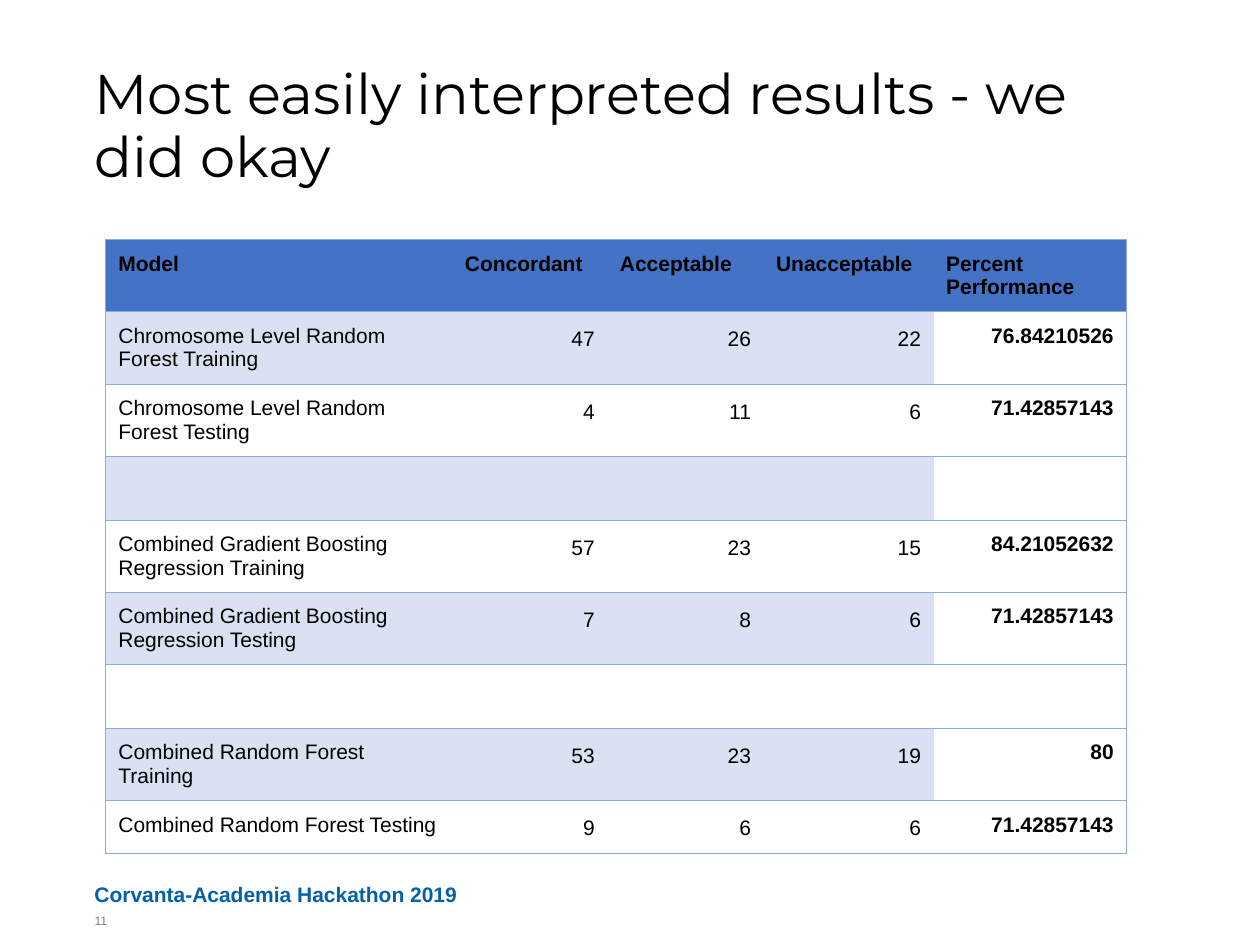
from pptx import Presentation
from pptx.dml.color import RGBColor
from pptx.enum.text import MSO_ANCHOR as Anchor, MSO_AUTO_SIZE as AutoSize, PP_ALIGN as Align
from pptx.oxml import parse_xml
from pptx.oxml.ns import nsdecls, qn
from pptx.util import Inches, Pt

BLACK = RGBColor(0x00, 0x00, 0x00)
WHITE = RGBColor(0xFF, 0xFF, 0xFF)
GRAY = RGBColor(0x7F, 0x7F, 0x7F)
FOOTER_BLUE = RGBColor(0x04, 0x60, 0xA9)
HEADER_BLUE = RGBColor(0x44, 0x72, 0xC4)
BAND_BLUE = RGBColor(0xD9, 0xE1, 0xF2)
BORDER_BLUE = RGBColor(0x8E, 0xA9, 0xDB)

NO_STYLE = "{2D5ABB26-0587-4C30-8999-92F81FD0307C}"
COLUMN_WIDTHS = [2.75, 1.23, 1.24, 1.35, 1.53]
TEXT_ROW, BLANK_ROW, LAST_ROW = 0.57, 0.48, 0.42

HEADER = ["Model", "Concordant", "Acceptable", "Unacceptable", "Percent Performance"]
BLANK = [""] * len(HEADER)
RESULTS = [
    ["Chromosome Level Random Forest Training", "47", "26", "22", "76.84210526"],
    ["Chromosome Level Random Forest Testing", "4", "11", "6", "71.42857143"],
    BLANK,
    ["Combined Gradient Boosting Regression Training", "57", "23", "15", "84.21052632"],
    ["Combined Gradient Boosting Regression Testing", "7", "8", "6", "71.42857143"],
    BLANK,
    ["Combined Random Forest Training", "53", "23", "19", "80"],
    ["Combined Random Forest Testing", "9", "6", "6", "71.42857143"],
]


def write_text(frame, text, color, alignment=Align.LEFT, line_spacing=1.0, **font_format):
    paragraph = frame.paragraphs[0]
    paragraph.alignment = alignment
    paragraph.line_spacing = line_spacing
    run = paragraph.add_run()
    run.text = text
    run.font.color.rgb = color
    for name, value in font_format.items():
        setattr(run.font, name, value)


def clear_margins(frame, anchor):
    frame_format = {
        "margin_left": 0, "margin_right": 0, "margin_top": 0, "margin_bottom": 0,
        "word_wrap": True, "auto_size": AutoSize.NONE, "vertical_anchor": anchor,
    }
    for name, value in frame_format.items():
        setattr(frame, name, value)


def add_title(slide, text):
    title = slide.shapes.title
    title.left, title.top = Inches(0.75), Inches(0.5)
    title.width, title.height = Inches(8.5), Inches(1.05)
    clear_margins(title.text_frame, Anchor.TOP)
    write_text(title.text_frame, text, BLACK, line_spacing=0.95,
               name="Montserrat", size=Pt(32))


def add_label(slide, text, top, width, color, anchor, **font_format):
    box = slide.shapes.add_textbox(Inches(0.75), Inches(top), Inches(width), Inches(0.25))
    clear_margins(box.text_frame, anchor)
    write_text(box.text_frame, text, color, name="Arial", **font_format)


def add_borders(cell, sides):
    """Draw thin lines on the given sides, listed in the schema order L, R, T, B."""
    properties = cell._tc.get_or_add_tcPr()
    for side in sides:
        properties.append(parse_xml(
            f'<a:ln{side} {nsdecls("a")} w="{Pt(0.5)}"><a:solidFill>'
            f'<a:srgbClr val="{BORDER_BLUE}"/></a:solidFill></a:ln{side}>'))


def fill_cell(cell, color):
    if color is None:
        cell.fill.background()
    else:
        cell.fill.solid()
        cell.fill.fore_color.rgb = color


def format_cell(cell, text, row, column):
    last_column = len(HEADER) - 1
    is_header, is_percent = row == 0, column == last_column
    for side in ("left", "right", "top", "bottom"):
        setattr(cell, f"margin_{side}", Inches(0.1))

    add_borders(cell, {0: "LTB", last_column: "RTB"}.get(column, "TB"))
    if is_header:
        fill_cell(cell, HEADER_BLUE)
    elif is_percent:
        fill_cell(cell, WHITE)
    else:
        fill_cell(cell, BAND_BLUE if row % 2 else None)

    if text:
        is_number = not is_header and column > 0
        write_text(cell.text_frame, text, BLACK,
                   alignment=Align.RIGHT if is_number else Align.LEFT,
                   line_spacing=1.15 if is_number and not is_percent else 1.0,
                   name="Arial", size=Pt(12), bold=is_header or is_percent)


def add_results_table(slide):
    rows = [HEADER] + RESULTS
    heights = [TEXT_ROW if values[0] else BLANK_ROW for values in rows]
    heights[-1] = LAST_ROW
    table = slide.shapes.add_table(
        len(rows), len(HEADER), Inches(0.84), Inches(1.9),
        Inches(sum(COLUMN_WIDTHS)), Inches(sum(heights))).table
    table.first_row = table.horz_banding = False
    table._tbl.tblPr.find(qn("a:tableStyleId")).text = NO_STYLE

    for column, width in zip(table.columns, COLUMN_WIDTHS):
        column.width = Inches(width)
    for row, (values, height) in enumerate(zip(rows, heights)):
        table.rows[row].height = Inches(height)
        for column, text in enumerate(values):
            format_cell(table.cell(row, column), text, row, column)


def main():
    presentation = Presentation()
    presentation.slide_width, presentation.slide_height = Inches(10), Inches(7.5)
    slide = presentation.slides.add_slide(presentation.slide_layouts[5])
    add_title(slide, "Most easily interpreted results - we did okay")
    add_label(slide, "Corvanta-Academia Hackathon 2019", 6.95, 6.5, FOOTER_BLUE,
              Anchor.BOTTOM, size=Pt(12), bold=True)
    add_label(slide, "11", 7.25, 0.25, GRAY, Anchor.TOP, size=Pt(7))
    add_results_table(slide)
    presentation.save("out.pptx")


if __name__ == "__main__":
    main()
